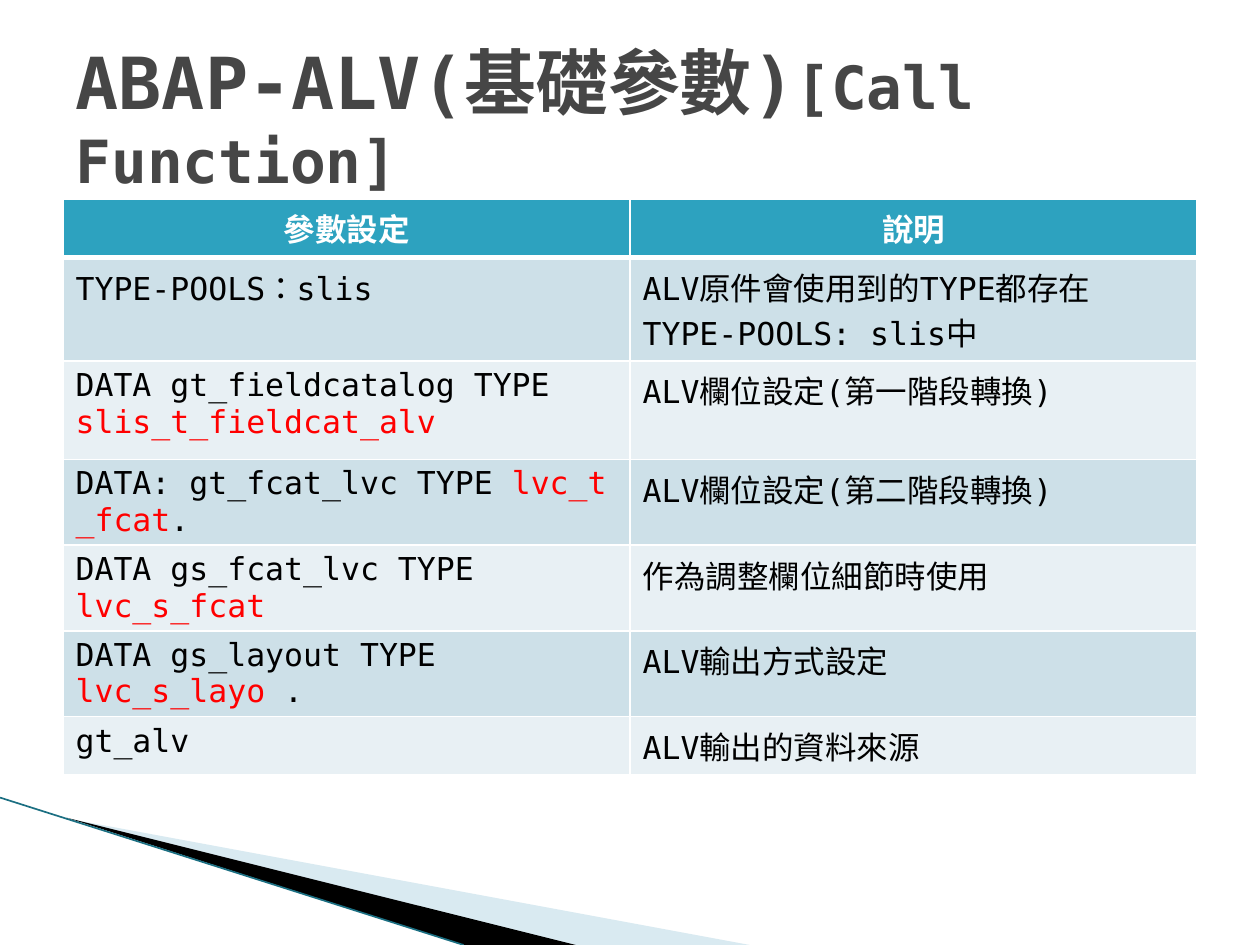
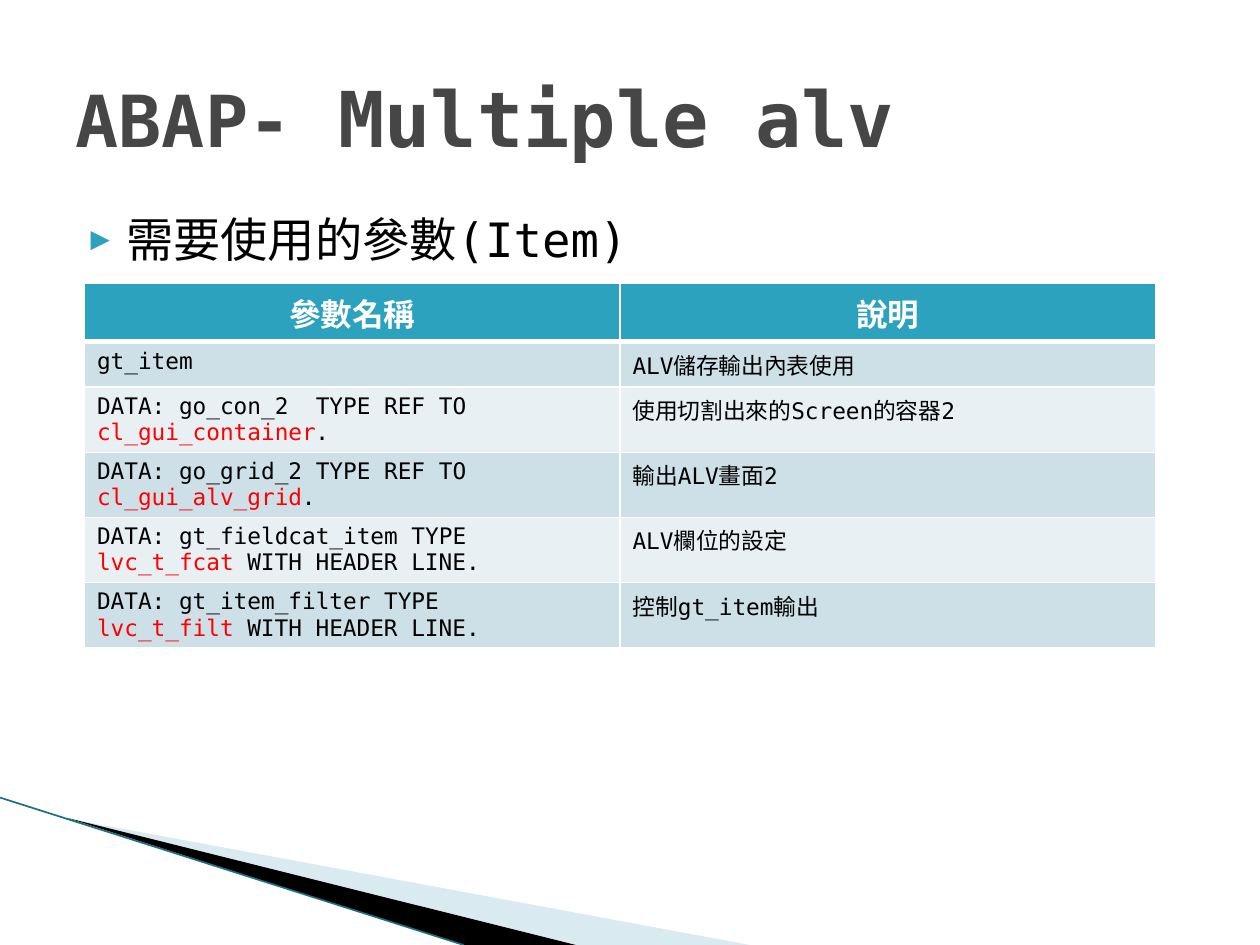
from lxml import etree
from pptx import Presentation
from pptx import util as u
from pptx.dml.color import RGBColor
from pptx.enum import lang, shapes, text
from pptx.oxml import parse_xml
from pptx.oxml.ns import qn

NS = 'xmlns:a="http://schemas.openxmlformats.org/drawingml/2006/main"'
FONT = "DejaVu Sans Mono"
HUES = {
    "title": "464646", "ink": "000000", "red": "FF0000", "white": "FFFFFF",
    "head": "2DA2BF", "odd": "CDE0E8", "even": "E8F0F4",
    "pale": "A0CBDC", "edge": "1B6F82",
}
TITLE = {"bold": True, "hue": "title"}
HEAD = {"size": u.Pt(18), "bold": True, "hue": "white"}

pages = [
    {
        "layout": 5,
        "title": [("ABAP-ALV(基礎參數)", 41), ("[Call Function]", 34)],
        "spot": (0.5, 1.58, 9), "size": 18,
        "rows": [0.45, 0.78, 0.78, 0.45, 0.45, 0.45, 0.45],
        "cells": [
            ("參數設定", "說明"),
            ("TYPE-POOLS：slis", "ALV原件會使用到的TYPE都存在TYPE-POOLS: slis中"),
            ("DATA gt_fieldcatalog TYPE |slis_t_fieldcat_alv ", "ALV欄位設定(第一階段轉換)"),
            ("DATA:~gt_fcat_lvc~TYPE~|lvc_t_fcat|.", "ALV欄位設定(第二階段轉換)"),
            ("DATA gs_fcat_lvc TYPE |lvc_s_fcat", "作為調整欄位細節時使用"),
            ("DATA gs_layout TYPE |lvc_s_layo |.", "ALV輸出方式設定"),
            ("gt_alv", "ALV輸出的資料來源"),
        ],
    },
    {
        "layout": 1,
        "title": [("ABAP-", 41), (" Multiple alv", 44)],
        "body": "需要使用的參數(Item)",
        "spot": (0.67, 2.25, 8.5), "size": 13,
        "rows": [0.38, 0.27, 0.47, 0.47, 0.48, 0.49],
        "cells": [
            ("參數名稱", "說明"),
            ("gt_item", "ALV儲存輸出內表使用"),
            ("DATA:~go_con_2 ~TYPE~REF~TO~\n|cl_gui_container|. ", "使用切割出來的Screen的容器2"),
            ("DATA:~go_grid_2~TYPE~REF~TO~\n|cl_gui_alv_grid|. ", "輸出ALV畫面2"),
            ("DATA:~gt_fieldcat_item~TYPE~\n|lvc_t_fcat|~WITH~HEADER~LINE. ", "ALV欄位的設定"),
            ("DATA:~gt_item_filter~TYPE~\n|lvc_t_filt|~WITH~HEADER~LINE. ", "控制gt_item輸出"),
        ],
    },
]


def add_run(para, words, form):
    run = para.add_run()
    run.text = words.replace("~", "\u00a0")
    run.font.name = FONT
    run.font.language_id = lang.MSO_LANGUAGE_ID.TRADITIONAL_CHINESE
    for key, val in form.items():
        if key == "hue":
            run.font.color.rgb = RGBColor.from_string(HUES[val])
        else:
            setattr(run.font, key, val)


def place(holder, left, top, wide, high, anchor):
    vals = {"left": left, "top": top, "width": wide, "height": high}
    for key, val in vals.items():
        setattr(holder, key, u.Inches(val))
    frame = holder.text_frame
    for key, val in {"auto_size": text.MSO_AUTO_SIZE.NONE, "word_wrap": True,
                     "vertical_anchor": anchor}.items():
        setattr(frame, key, val)
    return frame.paragraphs[0]


prs = Presentation()
prs.slide_width, prs.slide_height = u.Inches(10), u.Inches(7.5)

for page in pages:
    slide = prs.slides.add_slide(prs.slide_layouts[page["layout"]])
    para = place(slide.shapes.title, 0.5, 0.3, 9, 1.25, text.MSO_ANCHOR.MIDDLE)
    para.alignment = text.PP_ALIGN.LEFT
    for words, size in page["title"]:
        add_run(para, words, {**TITLE, "size": u.Pt(size)})

    if "body" in page:
        para = place(slide.placeholders[1], 0.5, 1.62, 9, 4.95, text.MSO_ANCHOR.TOP)
        para.space_before = u.Pt(4)
        add_run(para, page["body"], {"size": u.Pt(27), "hue": "ink"})
        props = para._p.get_or_add_pPr()
        props.set("marL", str(u.Inches(0.4)))
        props.set("indent", str(u.Inches(-0.28)))
        for mark in (f'<a:buClr {NS}><a:srgbClr val="{HUES["head"]}"/></a:buClr>',
                     f'<a:buSzPct {NS} val="68000"/>',
                     f'<a:buFont {NS} typeface="{FONT}"/>',
                     f'<a:buChar {NS} char="▶"/>'):
            props.append(parse_xml(mark))

    left, top, wide = page["spot"]
    rows = page["rows"]
    table = slide.shapes.add_table(
        len(rows), 2, u.Inches(left), u.Inches(top),
        u.Inches(wide), u.Inches(sum(rows))).table
    for flag in ("first_row", "horz_banding"):
        setattr(table, flag, False)
    for col in table.columns:
        col.width = u.Inches(wide / 2)
    for r, (high, line) in enumerate(zip(rows, page["cells"])):
        table.rows[r].height = u.Inches(high)
        band = "head" if r == 0 else "odd" if r % 2 else "even"
        for c, words in enumerate(line):
            cell = table.cell(r, c)
            cell.fill.solid()
            cell.fill.fore_color.rgb = RGBColor.from_string(HUES[band])
            props = cell._tc.get_or_add_tcPr()
            for n, side in enumerate("LRTB"):
                thick = 3 if (r, side) in ((0, "B"), (1, "T")) else 1
                props.insert(n, parse_xml(
                    f'<a:ln{side} {NS} w="{u.Pt(thick)}"><a:solidFill>'
                    f'<a:srgbClr val="{HUES["white"]}"/></a:solidFill></a:ln{side}>'))
            red = False
            for n, part in enumerate(words.split("\n")):
                frame = cell.text_frame
                para = frame.add_paragraph() if n else frame.paragraphs[0]
                para.alignment = text.PP_ALIGN.LEFT if r else text.PP_ALIGN.CENTER
                for k, bit in enumerate(part.split("|")):
                    form = HEAD if r == 0 else {
                        "size": u.Pt(page["size"]), "bold": False,
                        "hue": "red" if k % 2 else "ink"}
                    if bit:
                        add_run(para, bit, form)

draw = prs.slides[0].shapes
bands = []
for hue, spots in (
    ("pale", [(0.55, 6.5), (5.95, 7.5), (4.56, 7.5)]),
    ("ink", [(0.53, 6.49), (4.57, 7.5), (3.68, 7.5)]),
):
    dots = [(u.Inches(x), u.Inches(y)) for x, y in spots]
    pen = draw.build_freeform(*dots[0], scale=1.0)
    pen.add_line_segments(dots[1:], close=True)
    band = pen.convert_to_shape()
    band.shadow.inherit = False
    band.fill.solid()
    band.fill.fore_color.rgb = RGBColor.from_string(HUES[hue])
    band.line.fill.background()
    if hue == "pale":
        tint = band._element.spPr.find(".//" + qn("a:srgbClr"))
        etree.SubElement(tint, qn("a:alpha"), val="40000")
    bands.append(band)

edge = draw.add_connector(shapes.MSO_CONNECTOR.STRAIGHT, u.Inches(0), u.Inches(6.33),
                          u.Inches(3.68), u.Inches(7.5))
edge.line.color.rgb = RGBColor.from_string(HUES["edge"])
edge.line.width = u.Pt(0.95)
etree.SubElement(edge._element.spPr, qn("a:effectLst"))
bands.append(edge)

tree = prs.slide_master.shapes._spTree
for n, band in enumerate(bands):
    band._element.xpath(".//p:cNvPr")[0].set("id", str(20 + n))
    tree.insert(2 + n, band._element)

prs.save("out.pptx")
